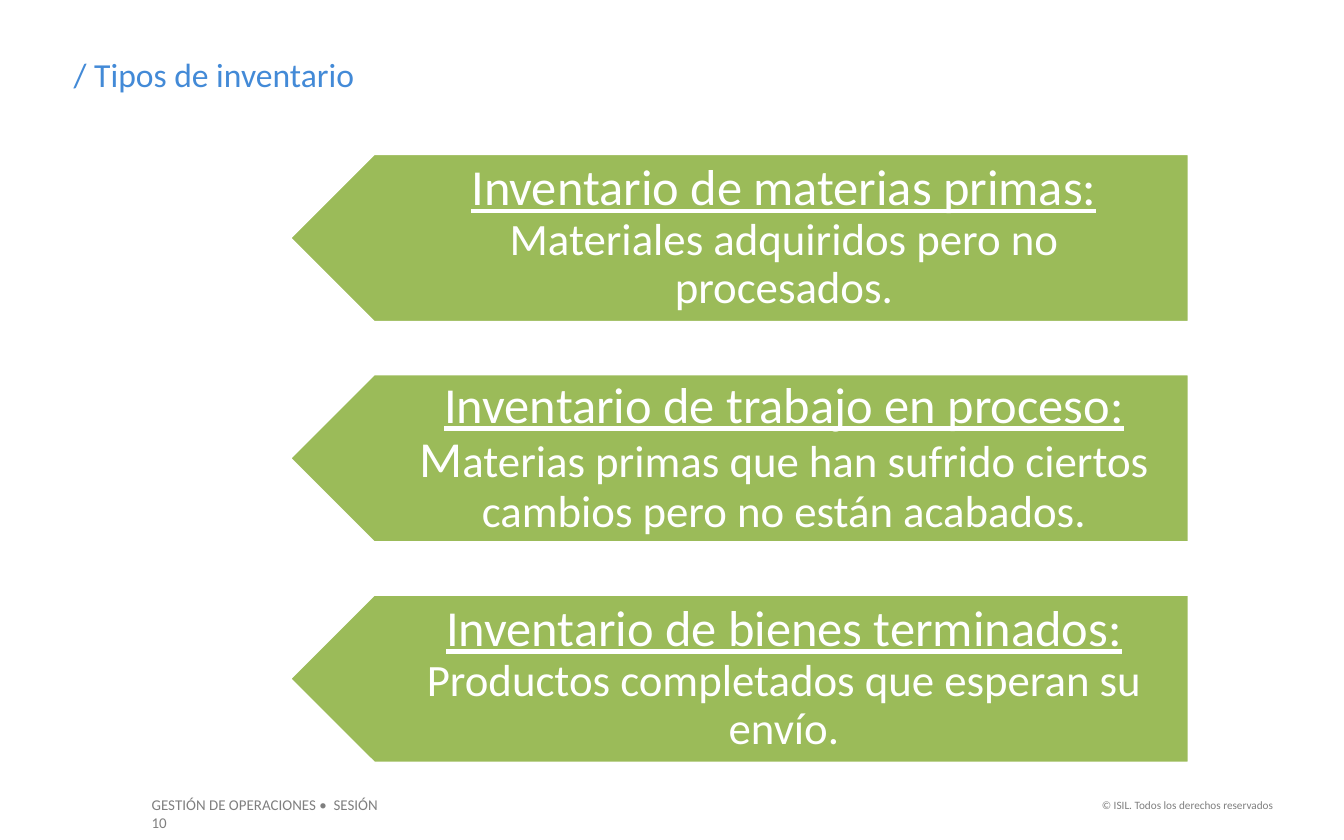
from dataclasses import dataclass

import pptx
import pptx.dml.color
import pptx.enum.shapes
import pptx.enum.text
import pptx.util

SLIDE_WIDTH, SLIDE_HEIGHT = 10, 6.25
ALIGN = pptx.enum.text.PP_ALIGN
ANCHOR = pptx.enum.text.MSO_ANCHOR


@dataclass(frozen=True)
class Theme:
    font: str = "Calibri"
    title_color: str = "438AD7"
    footer_color: str = "7F7F7F"
    arrow_color: str = "9BBB59"
    light_color: str = "FFFFFF"
    title_size: int = 18
    heading_size: int = 27
    body_size: int = 24
    session_size: int = 8
    copyright_size: int = 6
    outline_width: int = 2


THEME = Theme()

# Each type: heading, then the description as (text, size) runs.
INVENTORY_TYPES = [
    ("Inventario de materias primas: ",
     [("Materiales adquiridos pero no procesados.", THEME.body_size)]),
    ("Inventario de trabajo en proceso: ",
     [("M", THEME.heading_size),
      ("aterias primas que han sufrido ciertos cambios pero no están acabados.",
       THEME.body_size)]),
    ("Inventario de bienes terminados: ",
     [("Productos completados que esperan su envío.", THEME.body_size)]),
]


def rgb(color):
    return pptx.dml.color.RGBColor.from_string(color)


def inches(*lengths):
    return [pptx.util.Inches(length) for length in lengths]


def add_text(slide, box, runs, color, align=ALIGN.LEFT, anchor=ANCHOR.TOP,
             insets=(0.1, 0.05, 0.1, 0.05), line_spacing=None):
    """Add a one-paragraph text box; runs are (text, size, underlined)."""
    frame = slide.shapes.add_textbox(*inches(*box)).text_frame
    frame.word_wrap = True
    frame.vertical_anchor = anchor
    (frame.margin_left, frame.margin_top,
     frame.margin_right, frame.margin_bottom) = inches(*insets)
    paragraph = frame.paragraphs[0]
    paragraph.alignment = align
    paragraph.line_spacing = line_spacing
    for text, size, underlined in runs:
        run = paragraph.add_run()
        run.text = text
        run.font.name = THEME.font
        run.font.size = pptx.util.Pt(size)
        run.font.underline = underlined
        run.font.color.rgb = rgb(color)


def add_title(slide, box):
    add_text(slide, box, [("/ Tipos de inventario", THEME.title_size, False)],
             THEME.title_color)


def add_inventory_arrow(slide, box, heading, description):
    left, top, width, height = box
    arrow = slide.shapes.add_shape(
        pptx.enum.shapes.MSO_SHAPE.PENTAGON, *inches(*box))
    arrow.rotation = 180
    arrow.adjustments[0] = 0.5
    arrow.shadow.inherit = False
    arrow.fill.solid()
    arrow.fill.fore_color.rgb = rgb(THEME.arrow_color)
    arrow.line.color.rgb = rgb(THEME.light_color)
    arrow.line.width = pptx.util.Pt(THEME.outline_width)

    tip = height / 4
    runs = [(heading, THEME.heading_size, True)]
    runs += [(text, size, False) for text, size in description]
    add_text(slide, (left + tip, top, width - tip, height), runs,
             THEME.light_color, ALIGN.CENTER, ANCHOR.MIDDLE,
             insets=(0.56, 0.11, 0.21, 0.11), line_spacing=0.9)


def add_inventory_list(slide, box):
    """Stack the arrows over the box with equal gaps of a third of an arrow."""
    left, top, width, height = box
    count = len(INVENTORY_TYPES)
    gap_share = 0.3
    arrow_height = height / (count + gap_share * (count - 1))
    pitch = arrow_height * (1 + gap_share)
    for row, (heading, description) in enumerate(INVENTORY_TYPES):
        add_inventory_arrow(slide, (left, top + row * pitch, width, arrow_height),
                            heading, description)


def add_footer(slide, box):
    left, top, width, height = box
    session_width, copyright_width = 2.02, 1.54
    add_text(slide, (left, top, session_width, height),
             [("GESTIÓN DE OPERACIONES •  SESIÓN 10", THEME.session_size, False)],
             THEME.footer_color)
    add_text(slide, (left + width - copyright_width, top + 0.02,
                     copyright_width, height - 0.04),
             [("© ISIL. Todos los derechos reservados", THEME.copyright_size, False)],
             THEME.footer_color, ALIGN.RIGHT)


def main():
    presentation = pptx.Presentation()
    presentation.slide_width, presentation.slide_height = inches(
        SLIDE_WIDTH, SLIDE_HEIGHT)
    slide = presentation.slides.add_slide(presentation.slide_layouts[6])
    add_footer(slide, (1.03, 5.87, 8.54, 0.24))
    add_title(slide, (0.45, 0.35, 7.88, 0.4))
    add_inventory_list(slide, (2.15, 1.14, 6.7, 4.54))
    presentation.save("out.pptx")


if __name__ == "__main__":
    main()
